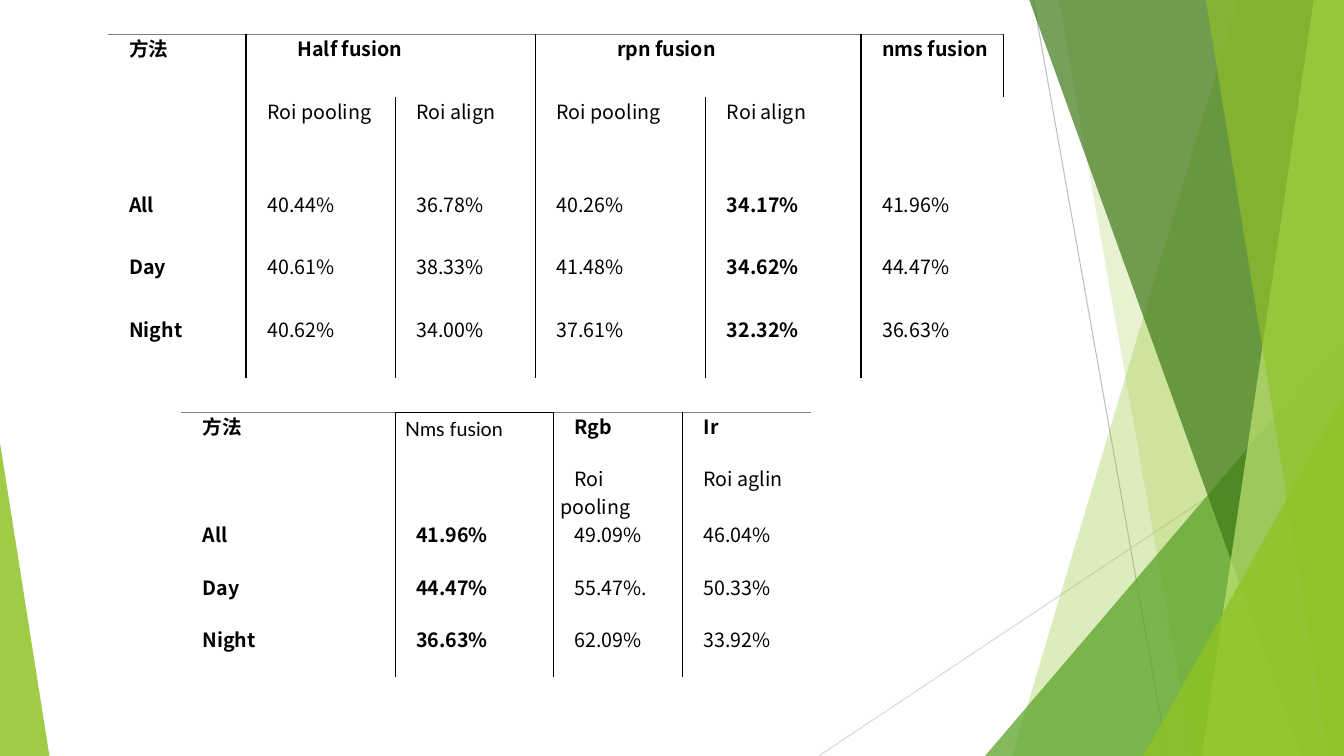
from lxml.etree import SubElement
from pptx import Presentation
from pptx.dml.color import RGBColor
from pptx.enum.shapes import MSO_CONNECTOR as CONN, MSO_SHAPE as SHAPE
from pptx.enum.text import PP_ALIGN as ALIGN
from pptx.oxml.ns import qn
from pptx.util import Inches, Pt

COLORS = {"ink": "000000", "rule": "7F7F7F", "line": "BFBFBF", "pale_line": "D9D9D9",
          "lime": "90C226", "green": "54A021", "forest": "3F7819", "mint": "C0E474"}
CJK, LATIN = "Noto Sans CJK SC", "Lato"
NO_GRID = "{2D5ABB26-0587-4C30-8999-92F81FD0307C}"

prs = Presentation()
prs.slide_width, prs.slide_height = Inches(13.33), Inches(7.5)
s = prs.slides.add_slide(prs.slide_layouts[6])


def place(x, y):
    """Turn percentages of the slide's width and height into lengths."""
    return round(prs.slide_width * x / 100), round(prs.slide_height * y / 100)


def add_border(tc_pr, side, color):
    ln = SubElement(tc_pr, qn("a:ln" + side), w=str(Pt(1)))
    SubElement(SubElement(ln, qn("a:solidFill")), qn("a:srgbClr"), val=COLORS[color])


# Thin diagonal lines behind the facets
for start, end, color in [((76.89, 0), (86.87, 100), "line"),
                          ((100, 53.73), (60.92, 100), "pale_line")]:
    cxn = s.shapes.add_connector(CONN.STRAIGHT, *place(*start), *place(*end))
    cxn.line.color.rgb = RGBColor.from_string(COLORS[color])
    cxn.line.width = Pt(0.75)
    SubElement(cxn._element.spPr, qn("a:effectLst"))

# Facets: (top x, bottom x) bands reach the right edge,
# (left, top, right, apex) are triangles standing on the bottom edge
facets = [("lime", 30, (92.12, 75.32)),
          ("lime", 20, (78.77, 88.75)),
          ("green", 72, (73.29, 44.4, 100, 1)),
          ("forest", 70, (76.59, 96.85)),
          ("mint", 70, (97.75, 89.42)),
          ("lime", 65, (89.72, 98.87)),
          ("lime", 80, (85.07, 52.4, 100, 1)),
          ("lime", 85, (0, 58.53, 3.68, 0))]
for color, opacity, outline in facets:
    if len(outline) == 2:
        top_x, bottom_x = outline
        band = s.shapes.build_freeform(*place(top_x, 0))
        band.add_line_segments([place(100, 0), place(100, 100), place(bottom_x, 100)])
        sp = band.convert_to_shape()
    else:
        left, top, right, apex = outline
        sp = s.shapes.add_shape(SHAPE.ISOSCELES_TRIANGLE, *place(left, top),
                                *place(right - left, 100 - top))
        sp.adjustments[0] = apex
    sp.shadow.inherit = False
    sp.line.fill.background()
    sp.fill.solid()
    sp.fill.fore_color.rgb = RGBColor.from_string(COLORS[color])
    clr = sp._element.spPr.find(qn("a:solidFill")).find(qn("a:srgbClr"))
    SubElement(clr, qn("a:alpha"), val=str(opacity * 1000))

# Result tables; sizes are percentages of the slide, "best" is the bold column
tables = [
    {"at": (8.03, 4.53), "best": 4, "merges": (1, 3),
     "cols": [10.28, 11.1, 10.43, 12.68, 11.55, 10.58],
     "rows": [8.31, 12.27, 8.31, 8.31, 8.31],
     "cells": [["方法", "Half fusion", "", "rpn fusion", "", "nms fusion"],
               ["", "Roi pooling", "Roi align", "Roi pooling", "Roi align", ""],
               ["All", "40.44%", "36.78%", "40.26%", "34.17%", "41.96%"],
               ["Day", "40.61%", "38.33%", "41.48%", "34.62%", "44.47%"],
               ["Night", "40.62%", "34.00%", "37.61%", "32.32%", "36.63%"]]},
    {"at": (13.5, 54.53), "best": 1, "merges": (),
     "cols": [15.9, 11.78, 9.6, 9.6],
     "rows": [6.91] * 5,
     "cells": [["方法", "Nms fusion", "Rgb", "Ir"],
               ["", "", "Roi pooling", "Roi aglin"],
               ["All", "41.96%", "49.09%", "46.04%"],
               ["Day", "44.47%", "55.47%.", "50.33%"],
               ["Night", "36.63%", "62.09%", "33.92%"]]}]
indents = {"Half fusion": 0.44, "rpn fusion": 0.74}

for spec_table in tables:
    cols, rows = spec_table["cols"], spec_table["rows"]
    frame = s.shapes.add_table(len(rows), len(cols), *place(*spec_table["at"]),
                               *place(sum(cols), sum(rows)))
    table = frame.table
    table.first_row = table.horz_banding = False
    table._tbl.tblPr.find(qn("a:tableStyleId")).text = NO_GRID
    for c, width in enumerate(cols):
        table.columns[c].width = place(width, 0)[0]
    for r, height in enumerate(rows):
        table.rows[r].height = place(0, height)[1]
    for c in spec_table["merges"]:
        table.cell(0, c).merge(table.cell(0, c + 1))

    for r, texts in enumerate(spec_table["cells"]):
        for c, text in enumerate(texts):
            cell = table.cell(r, c)
            plain_head = text == "Nms fusion"

            # Rules: grey on top, black between columns
            tc_pr = cell._tc.get_or_add_tcPr()
            if c > 0 and not cell.is_spanned:
                add_border(tc_pr, "L", "ink")
            if c < len(cols) - 1:
                add_border(tc_pr, "R", "ink")
            if r == 0:
                add_border(tc_pr, "T", "ink" if plain_head else "rule")
            cell.fill.background()
            if not text:
                continue

            # Cell text
            p = cell.text_frame.paragraphs[0]
            if not plain_head:
                cell.margin_left = cell.margin_right = Inches(0.07)
                cell.margin_top = cell.margin_bottom = 0
                p.alignment = ALIGN.JUSTIFY
                p.line_spacing = Pt(20)
                p._p.get_or_add_pPr().set("indent", str(Inches(indents.get(text, 0.14))))
            run = p.add_run()
            run.text = text
            run.font.size = Pt(14)
            run.font.bold = not plain_head and (
                r == 0 or c == 0 or (r > 1 and c == spec_table["best"]))
            run.font.color.rgb = RGBColor.from_string(COLORS["ink"])
            run.font.name = LATIN if plain_head else CJK
            SubElement(run._r.get_or_add_rPr(), qn("a:ea"), typeface=CJK)

prs.save("out.pptx")
